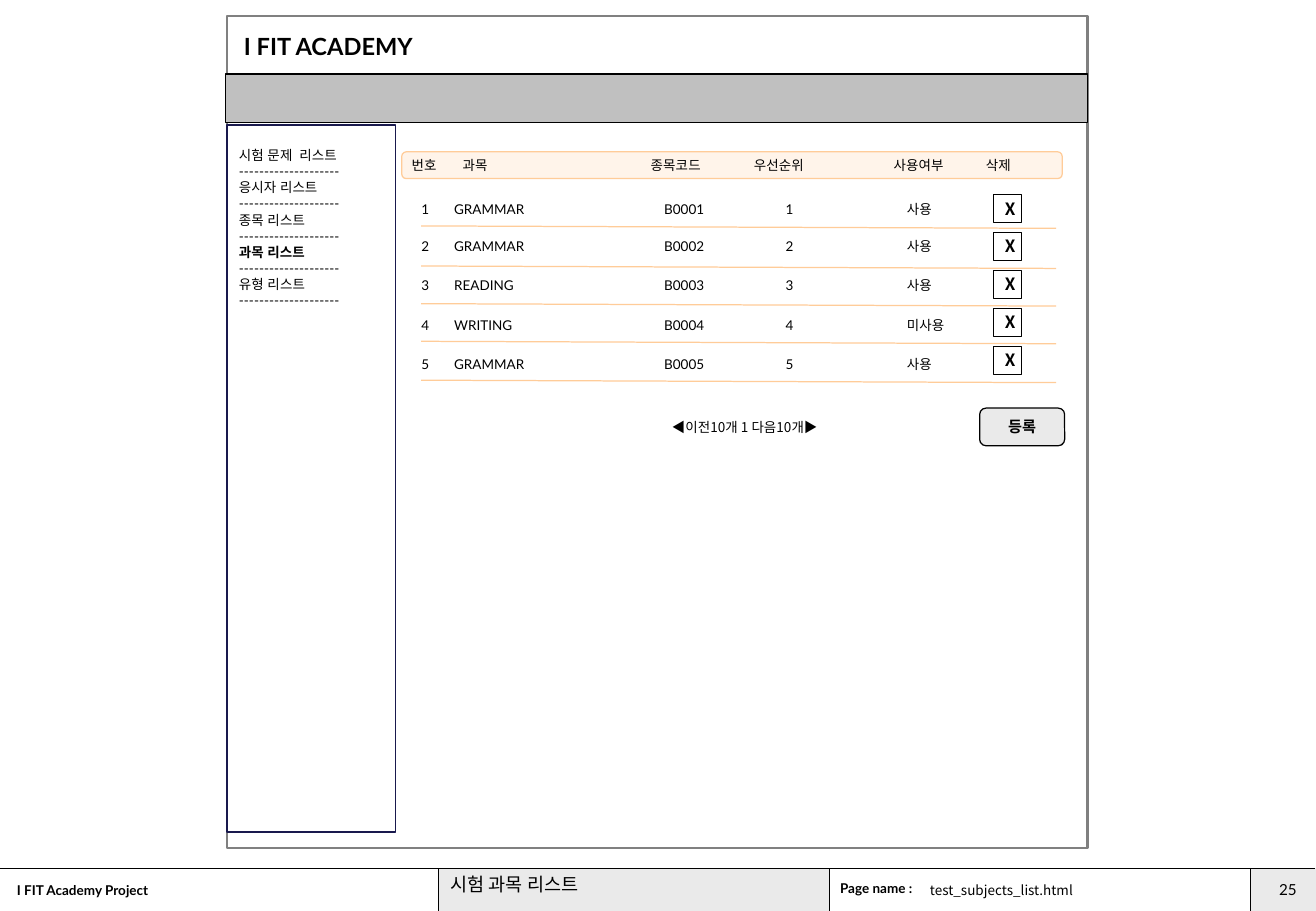
from lxml.etree import SubElement
from pptx import Presentation
from pptx.dml.color import RGBColor
from pptx.enum.shapes import MSO_CONNECTOR, MSO_SHAPE
from pptx.enum.text import MSO_ANCHOR, MSO_AUTO_SIZE, PP_ALIGN
from pptx.oxml.ns import qn
from pptx.util import Emu, Pt

PX = 9144  # 100 px to the inch
LATO, NOTO = "Lato", "Noto Sans CJK KR"
BLACK, GREY, SILVER, PEACH = "000000", "EAEAEA", "C0C0C0", "FFCC99"

HEADINGS = ["번호", "과목", "종목코드", "우선순위", "사용여부", "삭제"]
HEADING_TABS = [42, 197, 282, 397, 473]
SUBJECTS = [
    ("GRAMMAR", "사용"),
    ("GRAMMAR", "사용"),
    ("READING", "사용"),
    ("WRITING", "미사용"),
    ("GRAMMAR", "사용"),
]
SUBJECT_TABS = [27, 200, 300, 400]
ROW_TOPS = [161, 192, 224, 257, 289]
RULE_TOPS = [186, 219, 250, 281, 313]
MENU = ["시험 문제  리스트", "응시자 리스트", "종목 리스트", "과목 리스트", "유형 리스트"]
CURRENT_MENU = "과목 리스트"


def px(length):
    return Emu(round(length * PX))


def colour(code):
    return RGBColor.from_string(code)


class Wireframe:
    """Draws elements on one slide in a shared style."""

    def __init__(self, page):
        self.page = page

    def label(self, shape, lines, size=8, font=LATO, bold=False, align=PP_ALIGN.LEFT,
              anchor=MSO_ANCHOR.TOP, inset=(4, 5), top_inset=None, tabs=()):
        """Fill a shape with lines; a line is a string or a (string, bold) pair."""
        frame = shape.text_frame
        frame.word_wrap = True
        frame.auto_size = MSO_AUTO_SIZE.NONE
        frame.vertical_anchor = anchor
        side, edge = inset
        frame.margin_left = frame.margin_right = px(side)
        frame.margin_top = px(edge if top_inset is None else top_inset)
        frame.margin_bottom = px(edge)
        for index, line in enumerate(lines):
            words, heavy = (line, bold) if isinstance(line, str) else line
            para = frame.add_paragraph() if index else frame.paragraphs[0]
            para.alignment = align
            if tabs:
                self.set_tabs(para, tabs)
            span = para.add_run()
            span.text = words
            span.font.size = Pt(size)
            span.font.bold = heavy
            span.font.name = font
            span.font.color.rgb = colour(BLACK)
            SubElement(span.font._element, qn("a:ea")).set("typeface", font)

    def set_tabs(self, para, stops):
        tab_list = SubElement(para._p.get_or_add_pPr(), qn("a:tabLst"))
        for stop in stops:
            tab = SubElement(tab_list, qn("a:tab"))
            tab.set("pos", str(px(stop)))
            tab.set("algn", "l")

    def text(self, place, words, **style):
        box = self.page.shapes.add_textbox(*map(px, place))
        self.label(box, [words], **style)

    def box(self, place, fill=None, line=None, weight=0.75, rounded=False, opacity=None):
        kind = MSO_SHAPE.ROUNDED_RECTANGLE if rounded else MSO_SHAPE.RECTANGLE
        shape = self.page.shapes.add_shape(kind, *map(px, place))
        shape.shadow.inherit = False
        if fill:
            shape.fill.solid()
            shape.fill.fore_color.rgb = colour(fill)
        else:
            shape.fill.background()
        if opacity:
            tint = shape._element.spPr.find(qn("a:solidFill"))[0]
            SubElement(tint, qn("a:alpha")).set("val", str(opacity * 1000))
        if line:
            shape.line.color.rgb = colour(line)
            shape.line.width = Pt(weight)
        else:
            shape.line.fill.background()
        return shape

    def rule(self, start, end, line=BLACK, weight=0.75):
        connector = self.page.shapes.add_connector(
            MSO_CONNECTOR.STRAIGHT, *map(px, start + end))
        connector.line.color.rgb = colour(line)
        connector.line.width = Pt(weight)
        SubElement(connector._element.spPr, qn("a:effectLst"))

    def title(self, place, words, **style):
        """Place the title placeholder in front of what is drawn so far."""
        title = self.page.shapes.title
        title.left, title.top, title.width, title.height = map(px, place)
        self.label(title, [words], **style)
        self.page.shapes._spTree.append(title._element)


def draw_footer(wire):
    wire.box((1030, 715, 54, 35), fill=GREY)
    wire.box((361, 715, 322, 35), fill=GREY)
    wire.rule((0, 715), (1083, 715))
    for x, weight in ((361, 0.25), (683, 0.25), (1030, 0.75)):
        wire.rule((x, 715), (x, 750), weight=weight)
    wire.text((3, 721, 230, 24), "I FIT Academy Project", bold=True, inset=(11, 5))
    wire.text((681, 720, 89, 24), "Page name :", bold=True, inset=(11, 5))
    wire.text((762, 721, 260, 24), "test_subjects_list.html", font=NOTO)
    wire.text((1034, 720, 45, 28), "25", size=9, align=PP_ALIGN.RIGHT, inset=(11, 5))
    wire.title((361, 714, 323, 36), "시험 과목 리스트", size=11, font=NOTO, inset=(10, 5))


def draw_browser(wire):
    wire.box((187, 13, 709, 685), line="808080", weight=1.5)
    wire.text((197, 21, 163, 34), "I FIT ACADEMY", size=14, bold=True)
    wire.box((186, 61, 710, 40), fill=SILVER, line=BLACK)
    menu = wire.box((187, 103, 139, 582), fill="FFFFFF", line="19194D")
    lines = []
    for entry in MENU:
        lines += [(entry, entry == CURRENT_MENU), "-" * 20]
    wire.label(menu, lines, inset=(10, 5), top_inset=18)


def draw_subjects(wire):
    middle = MSO_ANCHOR.MIDDLE
    header = wire.box((331, 125, 544, 22), fill=PEACH, line=PEACH, rounded=True, opacity=20)
    wire.label(header, ["\t".join(HEADINGS)], anchor=middle, inset=(7, 5), tabs=HEADING_TABS)
    for index, (subject, state) in enumerate(SUBJECTS):
        number = index + 1
        row = wire.box((342, ROW_TOPS[index], 544, 22), rounded=True)
        cells = [str(number), subject, f"B000{number}", str(number), state]
        wire.label(row, ["\t".join(cells)], anchor=middle, tabs=SUBJECT_TABS)
        rule_top = RULE_TOPS[index]
        wire.rule((347, rule_top), (870, rule_top + 2), line=PEACH)
        delete = wire.box((818, 160 + 31.25 * index, 23, 23), line=BLACK, weight=0.25)
        wire.label(delete, ["X"], size=10, font=NOTO, bold=True, align=PP_ALIGN.CENTER,
                   anchor=middle, inset=(10, 5))
    pager = wire.box((331, 336, 565, 31), rounded=True)
    wire.label(pager, ["◀이전10개 1 다음10개▶"], font=NOTO, align=PP_ALIGN.CENTER, anchor=middle)
    register = wire.box((807, 336, 70, 31), fill=GREY, line=BLACK, rounded=True)
    wire.label(register, ["등록"], size=9, bold=True, align=PP_ALIGN.CENTER,
               anchor=middle, inset=(10, 5))


def main():
    deck = Presentation()
    deck.slide_width, deck.slide_height = px(1084), px(750)
    wire = Wireframe(deck.slides.add_slide(deck.slide_layouts[5]))
    draw_footer(wire)
    draw_browser(wire)
    draw_subjects(wire)
    deck.save("out.pptx")


if __name__ == "__main__":
    main()
